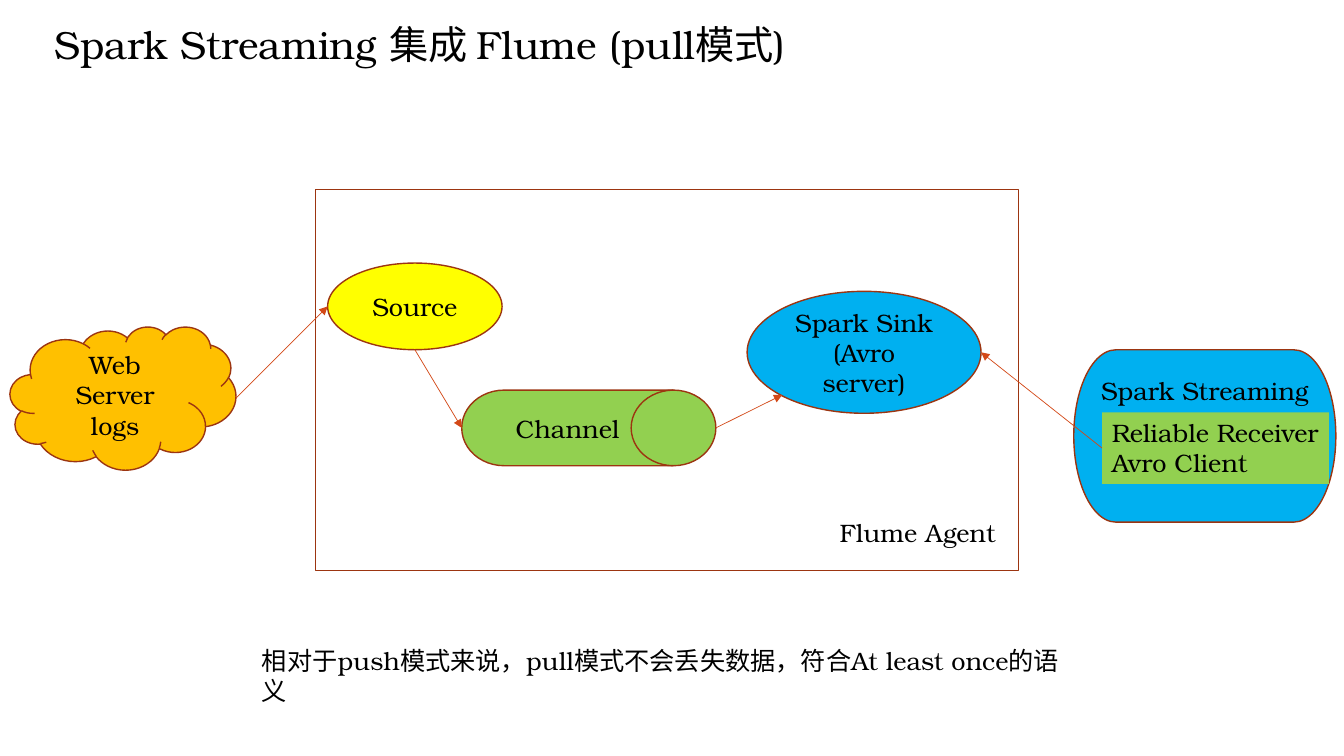
"""Build the slide on Spark Streaming pulling data from Flume."""
from lxml.etree import SubElement
from pptx import Presentation
from pptx.dml.color import RGBColor
from pptx.enum.shapes import MSO_CONNECTOR, MSO_SHAPE
from pptx.enum.text import MSO_ANCHOR, MSO_AUTO_SIZE, PP_ALIGN
from pptx.oxml.ns import qn
from pptx.util import Inches, Pt

FONT = "TeX Gyre Bonum"
BLACK = RGBColor(0x00, 0x00, 0x00)
YELLOW = RGBColor(0xFF, 0xFF, 0x00)
GREEN = RGBColor(0x92, 0xD0, 0x50)
BLUE = RGBColor(0x00, 0xB0, 0xF0)
ORANGE = RGBColor(0xFF, 0xC0, 0x00)
OUTLINE = RGBColor(0x9C, 0x35, 0x11)
ARROW = RGBColor(0xD3, 0x48, 0x17)

TITLE = ("Spark Streaming 集成 Flume (pull模式)", (0.44, 0.15, 8.06, 0.57))

NODES = {
    "source": (MSO_SHAPE.OVAL, (3.25, 2.61, 1.73, 0.86), YELLOW, ["Source"]),
    "channel": (MSO_SHAPE.FLOWCHART_DIRECT_ACCESS_STORAGE,
                (4.58, 3.87, 2.52, 0.75), GREEN, ["Channel"]),
    "sink": (MSO_SHAPE.OVAL, (7.41, 2.89, 2.32, 1.21), BLUE,
             ["Spark Sink", "(Avro server)"]),
    "agent": (MSO_SHAPE.RECTANGLE, (3.13, 1.88, 6.97, 3.78), None, []),
    "logs": (MSO_SHAPE.CLOUD, (0.1, 3.24, 2.24, 1.42), ORANGE,
             ["Web Server", "logs"]),
    "streaming": (MSO_SHAPE.FLOWCHART_TERMINATOR, (10.65, 3.47, 2.6, 1.71),
                  BLUE, ["Spark Streaming"]),
}

LABELS = {
    "agent name": ((8.23, 5.08, 1.84, 0.4), None, ["Flume Agent"]),
    "receiver": ((10.93, 4.09, 2.25, 0.71), GREEN,
                 ["Reliable Receiver", "Avro Client"]),
    "note": ((2.5, 6.35, 8.24, 0.71), None,
             ["相对于push模式来说，pull模式不会丢失数据，符合At least once的语义"]),
}

LEFT, RIGHT, BOTTOM = (0, 0.5), (1, 0.5), (0.5, 1)
LOWER_LEFT = (0.15, 0.85)
ARROWS = [
    ("logs", RIGHT, "source", LEFT),
    ("source", BOTTOM, "channel", LEFT),
    ("channel", RIGHT, "sink", LOWER_LEFT),
    ("receiver", LEFT, "sink", RIGHT),
]


def inches(box):
    return [Inches(length) for length in box]


def write(shape, lines, alignment, anchor, size=18, wrap=True):
    frame = shape.text_frame
    frame.auto_size = MSO_AUTO_SIZE.NONE
    frame.word_wrap = wrap
    frame.vertical_anchor = anchor
    frame.text = "\n".join(lines)
    for paragraph in frame.paragraphs:
        paragraph.alignment = alignment
        paragraph.font.name = FONT
        paragraph.font.size = Pt(size)
        paragraph.font.color.rgb = BLACK


def add_node(slide, kind, box, color, lines):
    shape = slide.shapes.add_shape(kind, *inches(box))
    shape.shadow.inherit = False
    shape.line.color.rgb = OUTLINE
    shape.line.width = Pt(1)
    if color is None:
        shape.fill.background()
    else:
        shape.fill.solid()
        shape.fill.fore_color.rgb = color
    if lines:
        write(shape, lines, PP_ALIGN.CENTER, MSO_ANCHOR.MIDDLE)
    return shape


def add_label(slide, box, color, lines):
    label = slide.shapes.add_textbox(*inches(box))
    if color is not None:
        label.fill.solid()
        label.fill.fore_color.rgb = color
    write(label, lines, PP_ALIGN.LEFT, MSO_ANCHOR.TOP)
    return label


def site(shape, share):
    return (int(shape.left + share[0] * shape.width),
            int(shape.top + share[1] * shape.height))


def add_arrow(slide, start, end):
    arrow = slide.shapes.add_connector(MSO_CONNECTOR.STRAIGHT, *start, *end)
    arrow.line.color.rgb = ARROW
    arrow.line.width = Pt(0.5)
    SubElement(arrow.line._get_or_add_ln(), qn("a:tailEnd"), type="triangle")
    SubElement(arrow._element.spPr, qn("a:effectLst"))


def main():
    presentation = Presentation()
    presentation.slide_width = Inches(13.33)
    presentation.slide_height = Inches(7.5)
    slide = presentation.slides.add_slide(presentation.slide_layouts[5])

    text, box = TITLE
    title = slide.shapes.title
    title.left, title.top, title.width, title.height = inches(box)
    write(title, [text], PP_ALIGN.LEFT, MSO_ANCHOR.TOP, 28)

    shapes = {name: add_node(slide, *node) for name, node in NODES.items()}
    streaming = shapes["streaming"].text_frame
    streaming.vertical_anchor = MSO_ANCHOR.TOP
    streaming.margin_top = Inches(0)

    for name, label in LABELS.items():
        shapes[name] = add_label(slide, *label)
    shapes["agent name"].text_frame.word_wrap = False
    for origin, exit_share, target, entry_share in ARROWS:
        add_arrow(slide, site(shapes[origin], exit_share),
                  site(shapes[target], entry_share))

    presentation.save("out.pptx")


if __name__ == "__main__":
    main()
